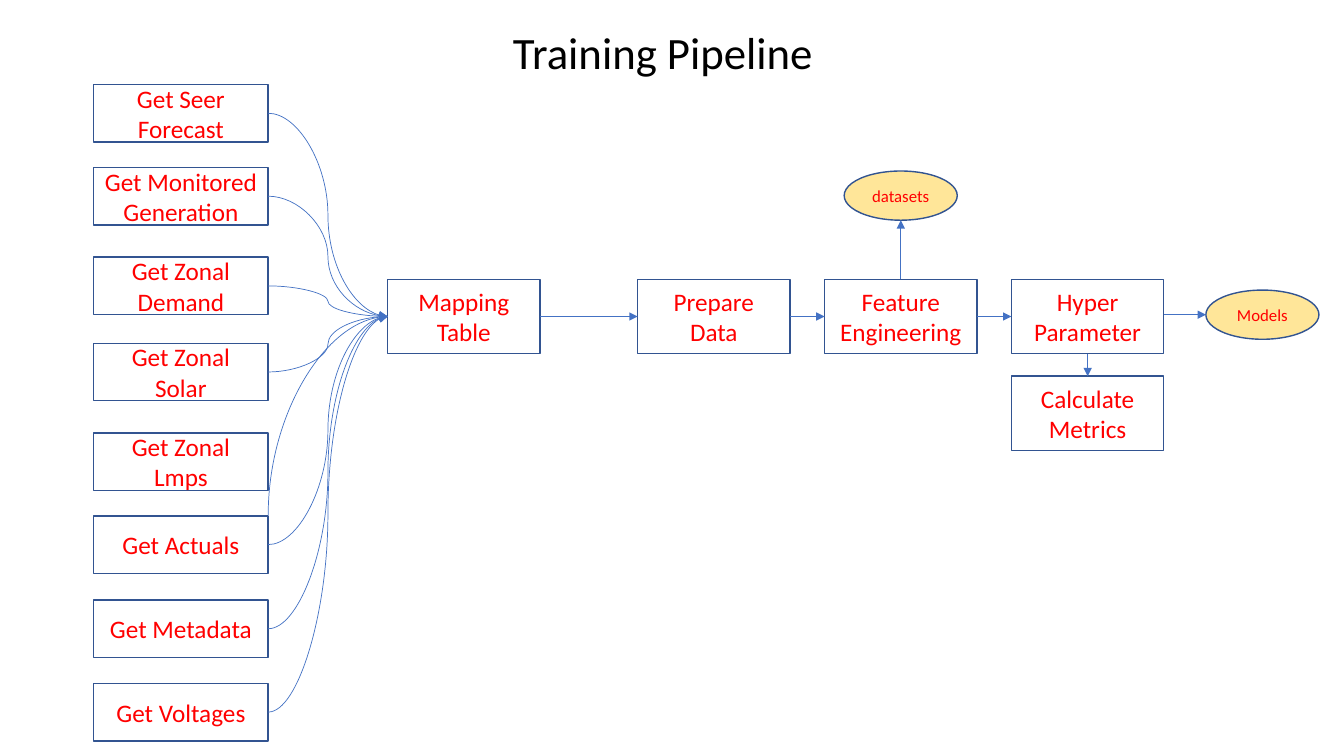
import lxml.etree
import pptx
import pptx.dml.color
import pptx.enum.shapes
import pptx.enum.text
import pptx.oxml.ns
import pptx.util

Cm = pptx.util.Cm
Pt = pptx.util.Pt
RGBColor = pptx.dml.color.RGBColor
Preset = pptx.enum.shapes.MSO_SHAPE
Connector = pptx.enum.shapes.MSO_CONNECTOR
qn = pptx.oxml.ns.qn

WHITE = RGBColor(0xFF, 0xFF, 0xFF)
BLACK = RGBColor(0x00, 0x00, 0x00)
RED = RGBColor(0xFF, 0x00, 0x00)
SAND = RGBColor(0xFF, 0xE6, 0x99)
OUTLINE = RGBColor(0x32, 0x54, 0x91)
ARROW = RGBColor(0x44, 0x72, 0xC4)

FONT = "Calibri"
TOP, LEFT, BOTTOM, RIGHT = range(4)

SOURCE_LEFT, SOURCE_WIDTH, SOURCE_HEIGHT = 2.36, 4.4, 1.45
SOURCES = [
    ("Get Seer Forecast", 2.13),
    ("Get Monitored Generation", 4.22),
    ("Get Zonal Demand", 6.48),
    ("Get Zonal Solar", 8.65),
    ("Get Zonal Lmps", 10.91),
    ("Get Actuals", 13.0),
    ("Get Metadata", 15.12),
    ("Get Voltages", 17.22),
]
LMPS = "Get Zonal Lmps"

STEP_TOP, STEP_WIDTH, STEP_HEIGHT = 7.04, 3.84, 1.87
STEP_PITCH = 4.71
MAPPING_LEFT, PREPARE_LEFT = 9.77, 16.07
STEP_NAMES = ["Prepare Data", "Feature Engineering", "Hyper Parameter"]
METRICS_TOP = 9.48

OUTPUT_WIDTH, OUTPUT_HEIGHT = 2.85, 1.24
DATASETS_TOP = 4.31
MODELS_LEFT, MODELS_TOP = 30.39, 7.31


def write_text(shape, text, size=18, color=RED,
               anchor=pptx.enum.text.MSO_ANCHOR.MIDDLE):
    frame = shape.text_frame
    frame.word_wrap = True
    frame.vertical_anchor = anchor
    paragraph = frame.paragraphs[0]
    paragraph.alignment = pptx.enum.text.PP_ALIGN.CENTER
    run = paragraph.add_run()
    run.text = text
    run.font.name = FONT
    run.font.size = Pt(size)
    run.font.color.rgb = color


def add_node(slide, text, left, top, width, height,
             preset=Preset.RECTANGLE, fill=WHITE, size=18):
    shape = slide.shapes.add_shape(preset, Cm(left), Cm(top), Cm(width), Cm(height))
    shape.shadow.inherit = False
    shape.fill.solid()
    shape.fill.fore_color.rgb = fill
    shape.line.color.rgb = OUTLINE
    shape.line.width = Pt(1)
    write_text(shape, text, size=size)
    return shape


def add_step(slide, text, left, top=STEP_TOP):
    return add_node(slide, text, left, top, STEP_WIDTH, STEP_HEIGHT)


def add_output(slide, text, left, top):
    return add_node(slide, text, left, top, OUTPUT_WIDTH, OUTPUT_HEIGHT,
                    preset=Preset.OVAL, fill=SAND, size=12)


def add_arrow(slide, start, end, kind=Connector.STRAIGHT):
    arrow = slide.shapes.add_connector(kind, *map(Cm, start + end))
    arrow.line.color.rgb = ARROW
    arrow.line.width = Pt(0.5)
    properties = arrow._element.spPr
    line = properties.find(qn("a:ln"))
    lxml.etree.SubElement(line, qn("a:tailEnd"), type="triangle")
    lxml.etree.SubElement(properties, qn("a:effectLst"))
    return arrow


def connect(slide, source, source_site, target, target_site, kind=Connector.STRAIGHT):
    arrow = add_arrow(slide, (0, 0), (1, 1), kind)
    arrow.begin_connect(source, source_site)
    arrow.end_connect(target, target_site)


def add_quarter_curve(slide, start, end):
    center_x, center_y = (start[0] + end[0]) / 2, (start[1] + end[1]) / 2
    half_width, half_height = (start[1] - end[1]) / 2, (end[0] - start[0]) / 2
    arrow = add_arrow(slide,
                      (center_x + half_width, center_y + half_height),
                      (center_x - half_width, center_y - half_height),
                      Connector.CURVE)
    properties = arrow._element.spPr
    properties.find(qn("a:xfrm")).set("rot", "5400000")
    properties.find(qn("a:prstGeom")).set("prst", "curvedConnector2")


def add_title(slide, text):
    box = slide.shapes.add_textbox(Cm(9.83), Cm(0.5), Cm(13.76), Cm(1.62))
    write_text(box, text, size=32, color=BLACK,
               anchor=pptx.enum.text.MSO_ANCHOR.TOP)


def add_sources(slide, mapping):
    for name, top in SOURCES:
        source = add_node(slide, name, SOURCE_LEFT, top, SOURCE_WIDTH, SOURCE_HEIGHT)
        if name == LMPS:
            add_quarter_curve(slide, (SOURCE_LEFT + SOURCE_WIDTH, 12.98),
                              (MAPPING_LEFT, STEP_TOP + STEP_HEIGHT / 2))
        else:
            connect(slide, source, RIGHT, mapping, LEFT, Connector.CURVE)


def add_steps(slide, mapping):
    lefts = [PREPARE_LEFT + STEP_PITCH * index for index in range(len(STEP_NAMES))]
    steps = [mapping] + [add_step(slide, name, left)
                         for name, left in zip(STEP_NAMES, lefts)]
    for source, target in zip(steps, steps[1:]):
        connect(slide, source, RIGHT, target, LEFT)

    feature_left, hyper_left = lefts[1:]
    metrics = add_step(slide, "Calculate Metrics", hyper_left, METRICS_TOP)
    connect(slide, steps[-1], BOTTOM, metrics, TOP)

    feature_center = feature_left + STEP_WIDTH / 2
    add_output(slide, "datasets", feature_center - OUTPUT_WIDTH / 2, DATASETS_TOP)
    add_arrow(slide, (feature_center, STEP_TOP),
              (feature_center, DATASETS_TOP + OUTPUT_HEIGHT))

    models_middle = MODELS_TOP + OUTPUT_HEIGHT / 2
    add_output(slide, "Models", MODELS_LEFT, MODELS_TOP)
    add_arrow(slide, (hyper_left + STEP_WIDTH, models_middle),
              (MODELS_LEFT, models_middle))


def main():
    presentation = pptx.Presentation()
    presentation.slide_width = Cm(33.87)
    presentation.slide_height = Cm(19.05)
    slide = presentation.slides.add_slide(presentation.slide_layouts[6])
    add_title(slide, "Training Pipeline")
    mapping = add_step(slide, "Mapping Table", MAPPING_LEFT)
    add_sources(slide, mapping)
    add_steps(slide, mapping)
    presentation.save("out.pptx")


main()
